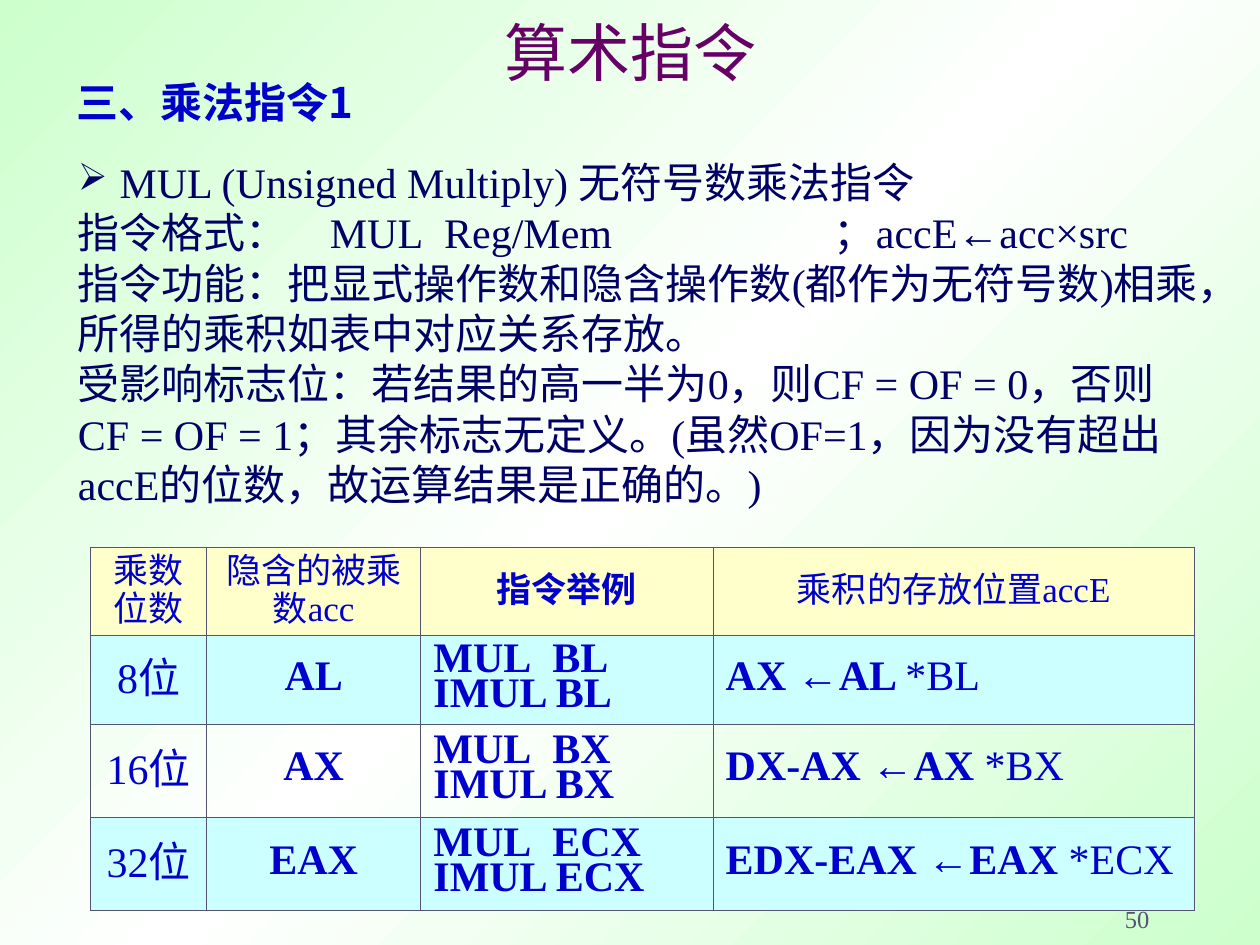
import dataclasses
import copy
import pptx
import pptx.util
import pptx.dml.color
import pptx.enum.text
import pptx.oxml
import pptx.oxml.ns

Inches = pptx.util.Inches
Pt = pptx.util.Pt
ALIGN = pptx.enum.text.PP_ALIGN
ANCHOR = pptx.enum.text.MSO_ANCHOR
qn = pptx.oxml.ns.qn


@dataclasses.dataclass(frozen=True)
class Theme:
    """Colours, fonts and type sizes of the slide."""
    latin: str = "Times New Roman"
    cjk: str = "Noto Sans CJK SC"
    green: str = "CCFFCC"
    white: str = "FFFFFF"
    purple: str = "660066"
    blue: str = "0000CC"
    navy: str = "000066"
    grey: str = "545472"
    header: str = "FFFFCC"
    band: str = "CCFFFF"
    title: int = 36
    text: int = 24
    label: int = 20
    number: int = 14
    rule: float = 0.45


T = Theme()


def rgb(value):
    """Return a colour object for a hex string."""
    return pptx.dml.color.RGBColor.from_string(value)


def element(xml):
    """Parse a DrawingML fragment."""
    ns = pptx.oxml.ns.nsdecls("a")
    return pptx.oxml.parse_xml(xml.replace(" ", f" {ns} ", 1))


def add_run(p, text, size, color, font=T.latin, bold=False):
    """Add one formatted run to a paragraph."""
    r = p.add_run()
    r.text = text
    r.font.size, r.font.name, r.font.bold = Pt(size), font, bold
    r.font.color.rgb = rgb(color)
    if font == T.cjk:
        latin = r.font._element.find(qn("a:latin"))
        latin.addnext(element(f'<a:ea typeface="{font}"/>'))


def place(sp, box, anchor):
    """Move a shape to its box and return its wrapped text frame."""
    sp.left, sp.top, sp.width, sp.height = map(Inches, box)
    tf = sp.text_frame
    tf.word_wrap = True
    tf.auto_size = pptx.enum.text.MSO_AUTO_SIZE.NONE
    tf.vertical_anchor = anchor
    return tf


def paint_background(s):
    """Fill the slide with a diagonal green and white gradient."""
    fill = s.background.fill
    fill.gradient()
    fill.gradient_angle = 315
    stops = s.element.find(".//" + qn("a:gsLst"))
    stops.append(copy.deepcopy(stops[0]))
    for stop, position, color in zip(fill.gradient_stops, (0, 0.5, 1), (T.green, T.white, T.green)):
        stop.position = position
        stop.color.rgb = rgb(color)


def add_headings(s, title_box, section_box):
    """Fill the title and the section heading placeholders."""
    p = place(s.shapes.title, title_box, ANCHOR.BOTTOM).paragraphs[0]
    p.alignment = ALIGN.CENTER
    add_run(p, "算术指令", T.title, T.purple, T.cjk)
    p = place(s.placeholders[1], section_box, ANCHOR.TOP).paragraphs[0]
    pPr = p._p.get_or_add_pPr()
    pPr.set("marL", "0")
    pPr.set("indent", "0")
    pPr.append(element("<a:buNone />"))
    p.line_spacing = 0.9
    p.space_before = Pt(0)
    add_run(p, "三、乘法指令1", T.text, T.blue, T.cjk, True)


def add_description(s, box):
    """Add the text that explains the instruction."""
    tf = place(s.shapes.add_textbox(0, 0, 0, 0), box, ANCHOR.MIDDLE)
    lines = (
        "MUL (Unsigned Multiply) 无符号数乘法指令",
        "指令格式：\tMUL\u00a0 Reg/Mem\t；accE←acc×src",
        "指令功能：把显式操作数和隐含操作数(都作为无符号数)相乘，所得的乘积如表中对应关系存放。",
        "受影响标志位：若结果的高一半为0，则CF = OF = 0，否则CF = OF = 1；"
        "其余标志无定义。(虽然OF=1，因为没有超出accE的位数，故运算结果是正确的。)",
    )
    for i, line in enumerate(lines):
        p = tf.paragraphs[0] if i == 0 else tf.add_paragraph()
        pPr = p._p.get_or_add_pPr()
        if i == 0:
            pPr.set("marL", str(Inches(0.33)))
            pPr.set("indent", str(-Inches(0.33)))
            pPr.append(element(f'<a:buClr ><a:srgbClr val="{T.navy}"/></a:buClr>'))
            pPr.append(element('<a:buSzPct val="90000"/>'))
            pPr.append(element('<a:buChar char="➢"/>'))
        if "\t" in line:
            tabs = "".join(f'<a:tab pos="{Inches(x)}" algn="l"/>' for x in (2, 6))
            pPr.append(element(f"<a:tabLst >{tabs}</a:tabLst>"))
        add_run(p, line, T.text, T.navy)


def fill_cell(cell, lines, size, align, fill):
    """Write lines of (text, bold) runs in a bordered cell."""
    cell.vertical_anchor = ANCHOR.MIDDLE
    cell.margin_left = cell.margin_right = Inches(0.1)
    cell.margin_top = cell.margin_bottom = Inches(0.05)
    p = cell.text_frame.paragraphs[0]
    p.alignment, p.line_spacing = align, 0.75
    for i, runs in enumerate(lines):
        if i:
            p.add_line_break()
        for text, bold in runs:
            add_run(p, text, size, T.blue, bold=bold)
    tcPr = cell._tc.get_or_add_tcPr()
    for side in ("lnL", "lnR", "lnT", "lnB"):
        tcPr.append(element(
            f'<a:{side} w="{Pt(T.rule)}"><a:solidFill><a:srgbClr val="{T.grey}"/>'
            f"</a:solidFill></a:{side}>"))
    if fill:
        cell.fill.solid()
        cell.fill.fore_color.rgb = rgb(fill)
    else:
        cell.fill.background()


def add_operand_table(s, box):
    """Add the table of operand sizes, examples and results."""
    table = s.shapes.add_table(4, 4, *map(Inches, box)).table
    table.first_row = table.horz_banding = False
    for column, width in zip(table.columns, (0.92, 1.7, 2.32, 3.82)):
        column.width = Inches(width)
    for row, height in zip(table.rows, (0.64, 0.7, 0.7, 0.7)):
        row.height = Inches(height)
    for c, text in enumerate(("乘数位数", "隐含的被乘数acc", "指令举例", "乘积的存放位置accE")):
        fill_cell(table.cell(0, c), [[(text, c == 2)]], T.label, ALIGN.CENTER, T.header)
    operands = ((8, "AL", "BL", "AX"), (16, "AX", "BX", "DX-AX"), (32, "EAX", "ECX", "EDX-EAX"))
    for r, (bits, acc, src, result) in enumerate(operands, 1):
        cells = (
            ([[(f"{bits}位", False)]], ALIGN.CENTER),
            ([[(acc, True)]], ALIGN.CENTER),
            ([[(f"MUL\u00a0 {src}", True)], [(f"IMUL {src}", True)]], ALIGN.LEFT),
            ([[(f"{result} ←{acc} ", True), (f"*{src}", False)]], ALIGN.LEFT),
        )
        for c, (lines, align) in enumerate(cells):
            fill_cell(table.cell(r, c), lines, T.text, align, T.band if r % 2 else None)


def add_page_number(s, box):
    """Add the page number at the foot."""
    p = place(s.shapes.add_textbox(0, 0, 0, 0), box, ANCHOR.BOTTOM).paragraphs[0]
    p.alignment = ALIGN.RIGHT
    add_run(p, "50", T.number, T.grey)


def main():
    """Build and save the slide."""
    prs = pptx.Presentation()
    prs.slide_width, prs.slide_height = Inches(10), Inches(7.5)
    s = prs.slides.add_slide(prs.slide_layouts[1])
    paint_background(s)
    add_page_number(s, (7.14, 6.96, 2.08, 0.5))
    add_headings(s, (0.75, 0.21, 8.5, 0.55), (0.51, 0.6, 4.17, 0.47))
    add_description(s, (0.52, 1.19, 9.11, 2.9))
    add_operand_table(s, (0.72, 4.34, 8.76, 2.74))
    prs.save("out.pptx")


if __name__ == "__main__":
    main()
